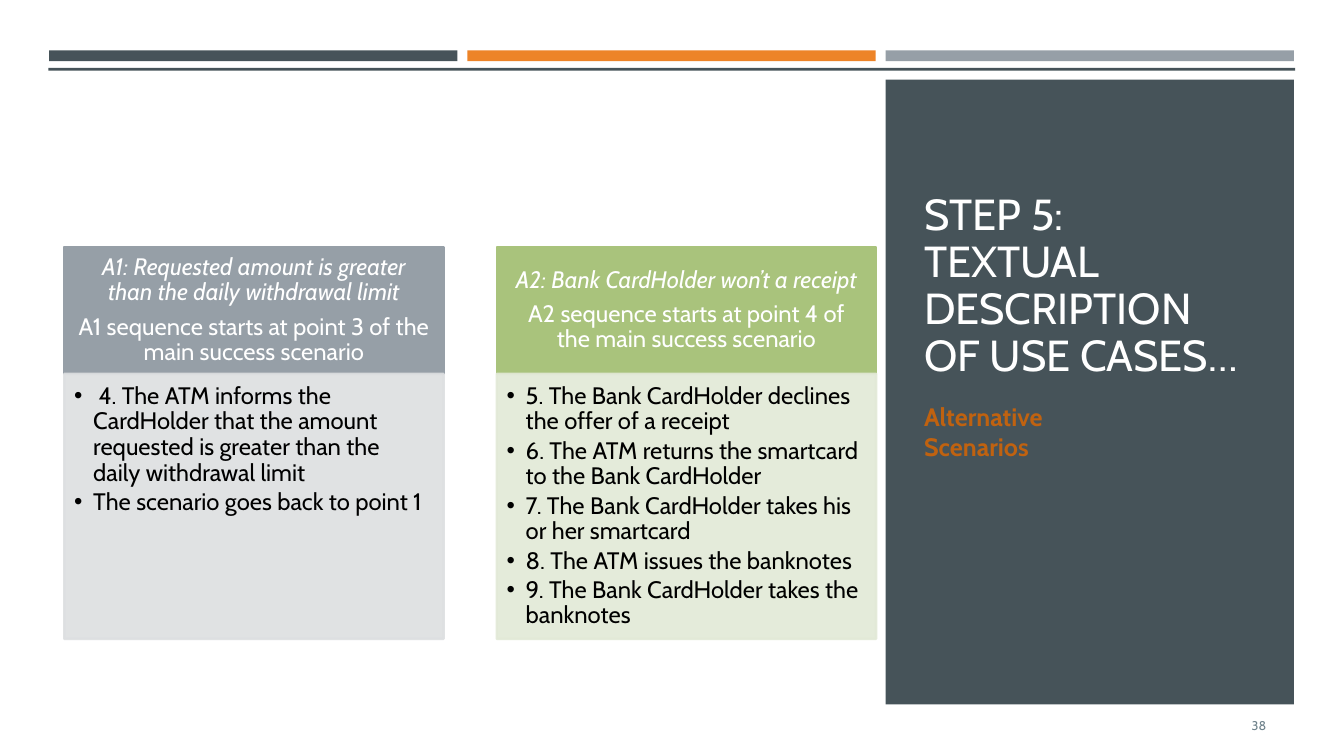
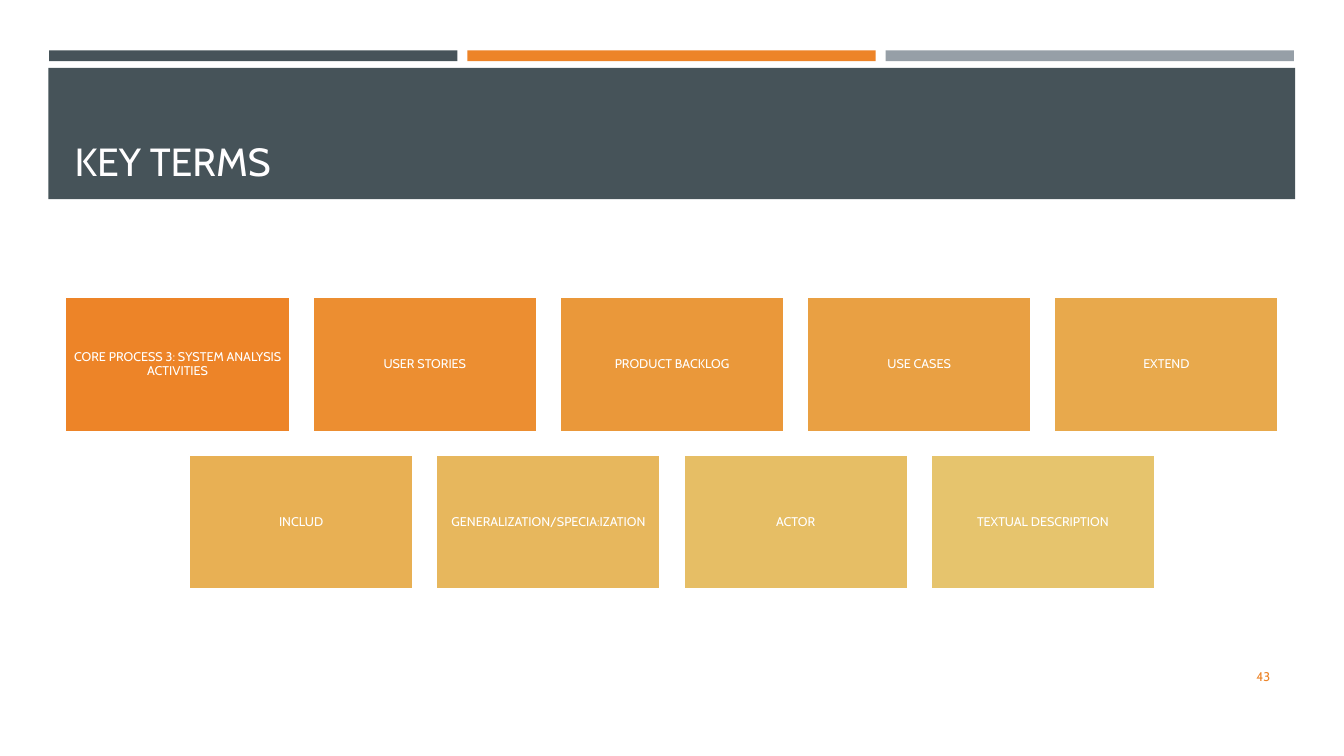
from lxml.etree import SubElement
from pptx import Presentation
from pptx.dml.color import RGBColor
from pptx.enum.shapes import MSO_SHAPE
from pptx.enum.text import MSO_ANCHOR, PP_ALIGN
from pptx.oxml.ns import qn
from pptx.util import Cm, Pt

# Content
STEP_TITLE = "STEP 5: TEXTUAL DESCRIPTION OF USE CASES…"
STEP_SUBTITLE = "Alternative Scenarios"
SCENARIOS = [
    {
        "heading": "A1: Requested amount is greater than the daily withdrawal limit",
        "start": "A1 sequence starts at point 3 of the main success scenario",
        "steps": [
            " 4. The ATM informs the CardHolder that the amount requested "
            "is greater than the daily withdrawal limit",
            "The scenario goes back to point 1",
        ],
        "colors": ("gray", "pale gray"),
    },
    {
        "heading": "A2: Bank CardHolder won’t a receipt",
        "start": "A2 sequence starts at point 4 of the main success scenario",
        "steps": [
            "5. The Bank CardHolder declines the offer of a receipt",
            "6. The ATM returns the smartcard to the Bank CardHolder",
            "7. The Bank CardHolder takes his or her smartcard",
            "8. The ATM issues the banknotes",
            "9. The Bank CardHolder takes the banknotes",
        ],
        "colors": ("green", "pale green"),
    },
]
TERMS_TITLE = "KEY TERMS"
TERM_ROWS = [
    [
        ("CORE PROCESS 3: SYSTEM ANALYSIS ACTIVITIES", "term 1"),
        ("USER STORIES", "term 2"),
        ("PRODUCT BACKLOG", "term 3"),
        ("USE CASES", "term 4"),
        ("EXTEND", "term 5"),
    ],
    [
        ("INCLUD", "term 6"),
        ("GENERALIZATION/SPECIA:IZATION", "term 7"),
        ("ACTOR", "term 8"),
        ("TEXTUAL DESCRIPTION", "term 9"),
    ],
]

# Shared style
COLORS = {
    "slate": "465359", "orange": "ED8428", "gray": "969FA7", "green": "A9C37C",
    "pale gray": "DDDFE1", "pale green": "E2E9D7", "white": "FFFFFF",
    "title white": "FFFEFF", "black": "000000", "rust": "C06210",
    "number": "6D818A",
    "term 1": "ED8428", "term 2": "EC8E31", "term 3": "EA983A",
    "term 4": "E9A043", "term 5": "E8A94C", "term 6": "E8B054",
    "term 7": "E7B75D", "term 8": "E6BE65", "term 9": "E6C46D",
}
FONT = "Cabin"
SLIDE_WIDTH, SLIDE_HEIGHT = 33.87, 19.05
BAR_LEFT, BAR_WIDTH, BAR_PITCH = 1.24, 10.29, 10.54
BAND_LEFT, BAND_TOP, BAND_WIDTH = 1.22, 1.71, 31.42
LINE_WIDTH = Pt(1.75)

NUMBER = {"alignment": PP_ALIGN.RIGHT, "space_after": Pt(6)}
CARD_HEAD = {"alignment": PP_ALIGN.CENTER, "line_spacing": 0.9, "space_after": Pt(6)}
CARD_STEP = {"alignment": PP_ALIGN.LEFT, "line_spacing": 0.9, "space_after": Pt(2.5)}
TILE = {"alignment": PP_ALIGN.CENTER, "line_spacing": 0.9, "space_after": Pt(3)}


def rgb(color):
    return RGBColor.from_string(COLORS[color])


def set_alpha(shape, percent):
    """Make the fill and the line of a shape partly transparent."""
    for color in shape._element.spPr.iter(qn("a:srgbClr")):
        SubElement(color, qn("a:alpha"), val=str(percent * 1000))


def add_box(slide, box, fill, line=None):
    shape = slide.shapes.add_shape(MSO_SHAPE.RECTANGLE, *map(Cm, box))
    shape.shadow.inherit = False
    shape.fill.solid()
    shape.fill.fore_color.rgb = rgb(fill)
    if line:
        shape.line.color.rgb = rgb(line)
        shape.line.width = LINE_WIDTH
    else:
        shape.line.fill.background()
    return shape


def add_bullet(paragraph):
    properties = paragraph._p.get_or_add_pPr()
    properties.set("marL", str(Cm(0.48)))
    properties.set("indent", str(-Cm(0.48)))
    SubElement(properties, qn("a:buFont"), typeface="Arial")
    SubElement(properties, qn("a:buChar"), char="•")


def write(shape, texts, size, color, layout=None, anchor=MSO_ANCHOR.TOP,
          insets=(0.25, 0.13, 0.25, 0.13), bullets=False, **font_format):
    """Fill a shape with one paragraph for each text."""
    frame = shape.text_frame
    frame.word_wrap = True
    frame.vertical_anchor = anchor
    for side, inset in zip(("left", "top", "right", "bottom"), insets):
        setattr(frame, f"margin_{side}", Cm(inset))
    font_values = {"name": FONT, "size": Pt(size), **font_format}
    for index, text in enumerate(texts):
        paragraph = frame.add_paragraph() if index else frame.paragraphs[0]
        for name, value in (layout or {"alignment": PP_ALIGN.LEFT}).items():
            setattr(paragraph, name, value)
        if bullets:
            add_bullet(paragraph)
        run = paragraph.add_run()
        run.text = text
        for name, value in font_values.items():
            setattr(run.font, name, value)
        run.font.color.rgb = rgb(color)
    return frame


def add_text(slide, box, text, size, color, **options):
    shape = slide.shapes.add_textbox(*map(Cm, box))
    write(shape, [text], size, color, **options)


def add_number(slide, box, number, color):
    add_text(slide, box, number, 9, color, layout=NUMBER, anchor=MSO_ANCHOR.MIDDLE)


def add_slide(presentation, band_height):
    """Add a blank slide with the three top bars and the band below them."""
    slide = presentation.slides.add_slide(presentation.slide_layouts[6])
    for index, color in enumerate(("slate", "orange", "gray")):
        add_box(slide, (BAR_LEFT + index * BAR_PITCH, 1.27, BAR_WIDTH, 0.27), color)
    add_box(slide, (BAND_LEFT, BAND_TOP, BAND_WIDTH, band_height), "slate")
    return slide


def build_scenarios(presentation):
    slide = add_slide(presentation, band_height=0.07)

    # Side panel
    add_box(slide, (BAR_LEFT + 2 * BAR_PITCH, 2.01, BAR_WIDTH, 15.74), "slate")
    add_text(slide, (23.04, 3.94, 8.56, 5.79), STEP_TITLE, 31, "white",
             layout={"line_spacing": 0.9}, anchor=MSO_ANCHOR.BOTTOM)
    add_text(slide, (23.04, 9.98, 5.87, 1.8), STEP_SUBTITLE, 18, "rust", bold=True)
    add_number(slide, (29.34, 17.78, 2.82, 1.02), "38", "number")

    # Scenario cards
    left, top, width, pitch = 1.62, 6.22, 9.56, 10.9
    head_height, body_height = 3.2, 6.68
    for index, scenario in enumerate(SCENARIOS):
        x = left + index * pitch
        head_color, body_color = scenario["colors"]
        head = add_box(slide, (x, top, width, head_height), head_color, head_color)
        frame = write(head, [scenario["heading"], scenario["start"]], 17, "white",
                      layout=CARD_HEAD, anchor=MSO_ANCHOR.MIDDLE,
                      insets=(0.34, 0.2, 0.34, 0.2))
        frame.paragraphs[0].runs[0].font.italic = True
        body = add_box(slide, (x, top + head_height, width, body_height),
                       body_color, body_color)
        set_alpha(body, 90)
        write(body, scenario["steps"], 17, "black", layout=CARD_STEP,
              insets=(0.25, 0.25, 0.34, 0.38), bullets=True)


def build_terms(presentation):
    slide = add_slide(presentation, band_height=3.31)
    add_text(slide, (1.63, 1.96, 30.63, 2.82), TERMS_TITLE, 28, "title white",
             anchor=MSO_ANCHOR.BOTTOM)
    add_number(slide, (29.34, 16.54, 2.92, 1.02), "43", "orange")

    # Centred rows of term tiles
    top, width, height, gap = 7.49, 5.66, 3.4, 0.57
    for row_index, row in enumerate(TERM_ROWS):
        row_width = len(row) * (width + gap) - gap
        left = (SLIDE_WIDTH - row_width) / 2
        y = top + row_index * (height + gap)
        for column, (term, color) in enumerate(row):
            x = left + column * (width + gap)
            tile = add_box(slide, (x, y, width, height), color, "white")
            write(tile, [term], 9, "white", layout=TILE,
                  anchor=MSO_ANCHOR.MIDDLE, insets=(0.1,) * 4)


def main():
    presentation = Presentation()
    presentation.slide_width = Cm(SLIDE_WIDTH)
    presentation.slide_height = Cm(SLIDE_HEIGHT)
    build_scenarios(presentation)
    build_terms(presentation)
    presentation.save("out.pptx")


if __name__ == "__main__":
    main()
